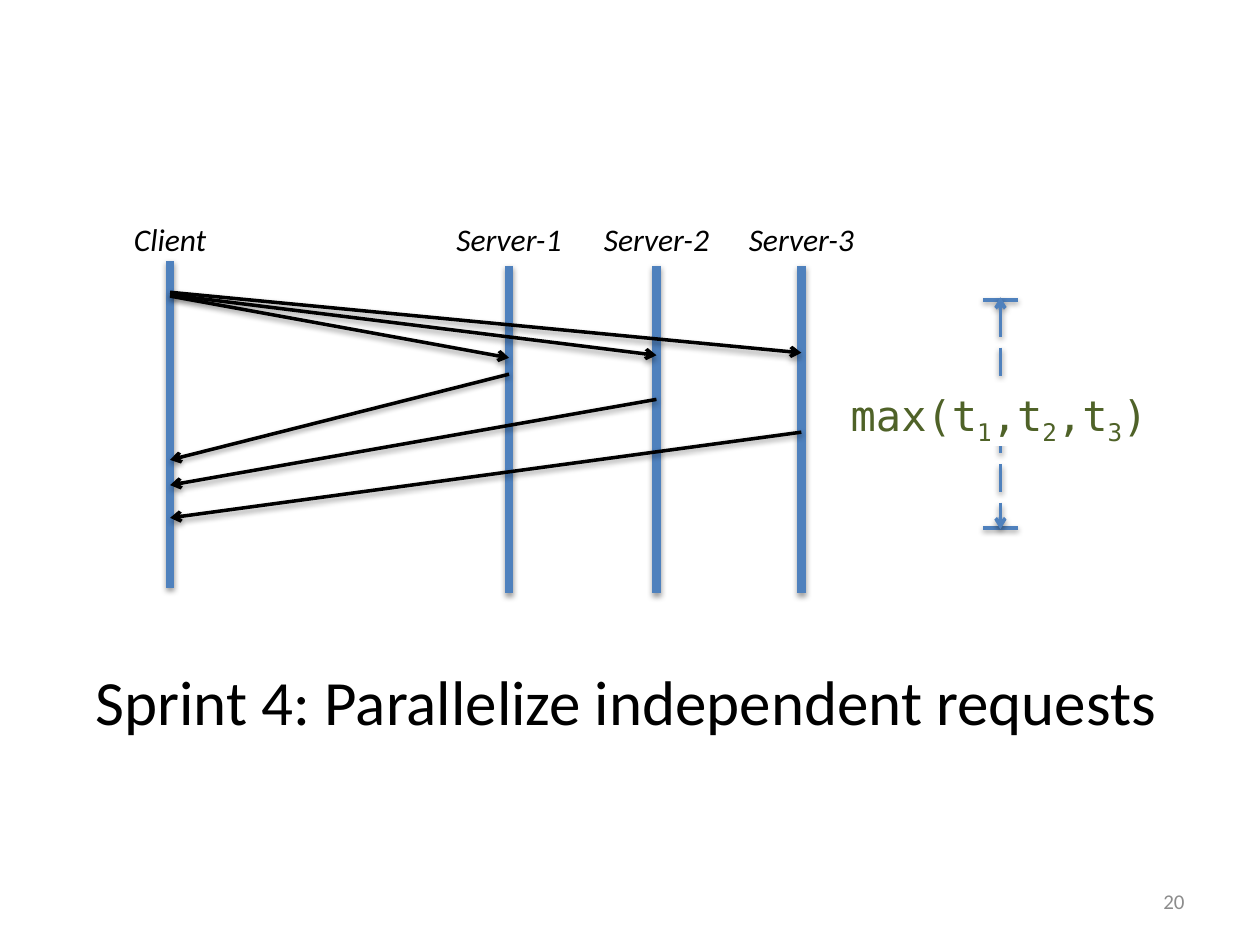
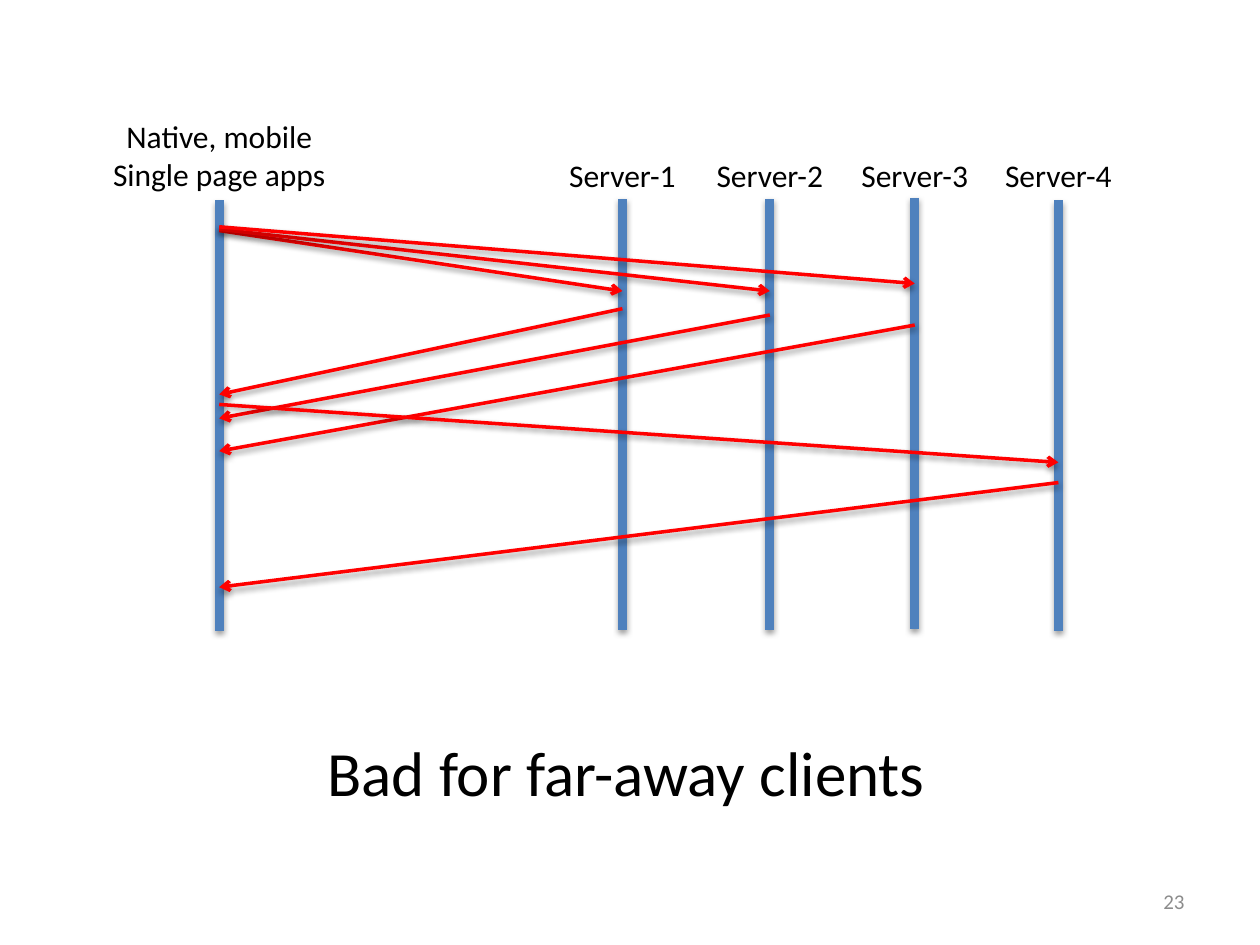
from dataclasses import dataclass

from lxml import etree
from pptx import Presentation
from pptx.dml.color import RGBColor
from pptx.enum.dml import MSO_LINE
from pptx.enum.shapes import MSO_CONNECTOR, MSO_SHAPE
from pptx.enum.text import MSO_ANCHOR, PP_ALIGN
from pptx.oxml.ns import qn
from pptx.util import Emu, Pt

STRAIGHT = MSO_CONNECTOR.STRAIGHT
RECTANGLE = MSO_SHAPE.RECTANGLE
LONG_DASH = MSO_LINE.LONG_DASH
TOP, MIDDLE = MSO_ANCHOR.TOP, MSO_ANCHOR.MIDDLE
CENTER, RIGHT = PP_ALIGN.CENTER, PP_ALIGN.RIGHT
TITLE_ONLY = 5
EMU_PER_PX = 9144


@dataclass(frozen=True)
class Theme:
    """Colours, fonts, type sizes and line widths of the slides."""
    blue: str = "4F81BD"
    black: str = "000000"
    red: str = "FF0000"
    green: str = "4F6228"
    gray: str = "8C8C8C"
    white: str = "FFFFFF"
    font: str = "Calibri"
    code_font: str = "DejaVu Sans Mono"
    title_size: int = 36
    code_size: int = 24
    label_size: int = 18
    number_size: int = 12
    lifeline_width: int = 5
    arrow_width: int = 2


THEME = Theme()


@dataclass(frozen=True)
class Lifeline:
    """A labelled vertical line, placed relative to its diagram."""
    name: str
    x: int
    top: int
    label_width: int = 111


def px(length):
    """Turn px, 100 to the inch, into EMU."""
    return Emu(int(length * EMU_PER_PX))


def write_text(shape, text, size=THEME.label_size, color=THEME.black, font=THEME.font,
               italic=False, align=CENTER, anchor=TOP, wrap=True):
    """Fill a shape with lines of text, where ~marked~ parts are subscripts."""
    frame = shape.text_frame
    frame.word_wrap = wrap
    frame.vertical_anchor = anchor
    for index, line in enumerate(text.split("\n")):
        paragraph = frame.add_paragraph() if index else frame.paragraphs[0]
        paragraph.alignment = align
        for part, words in enumerate(line.split("~")):
            run = paragraph.add_run()
            run.text = words
            run.font.name = font
            run.font.size = Pt(size)
            run.font.italic = italic
            run.font.color.rgb = RGBColor.from_string(color)
            if part % 2:
                run.font._element.set("baseline", "-25000")


def add_label(slide, box, text, **text_format):
    """Add a text box at left, top, width, height."""
    shape = slide.shapes.add_textbox(*map(px, box))
    write_text(shape, text, **text_format)


def add_shadow(connector):
    """Give a connector a soft shadow straight below it."""
    effects = etree.SubElement(connector._element.spPr, qn("a:effectLst"))
    shadow = etree.SubElement(effects, qn("a:outerShdw"), blurRad="40000", dist="20000",
                              dir="5400000", rotWithShape="0")
    color = etree.SubElement(shadow, qn("a:srgbClr"), val=THEME.black)
    etree.SubElement(color, qn("a:alpha"), val="38000")


def add_line(slide, start, end, color=THEME.blue, width=THEME.arrow_width,
             arrows=(), dash=None):
    """Draw a shadowed line with arrowheads at the named ends."""
    connector = slide.shapes.add_connector(STRAIGHT, *map(px, (*start, *end)))
    line = connector.line
    line.color.rgb = RGBColor.from_string(color)
    line.width = Pt(width)
    if dash:
        line.dash_style = dash
    for arrow in arrows:
        etree.SubElement(connector._element.spPr.ln, qn(f"a:{arrow}"), type="arrow")
    add_shadow(connector)


def sequence_diagram(slide, box, lifelines, messages, label_bottom, color, italic=False):
    """Draw lifelines down to the box's end, messages between them, and labels."""
    left, top, _, height = box
    length = height - max(lifeline.top for lifeline in lifelines)
    for lifeline in lifelines:
        x, y = left + lifeline.x, top + lifeline.top
        add_line(slide, (x, y), (x, y + length), width=THEME.lifeline_width)
    for sender, sent, receiver, received in messages:
        add_line(slide, (left + lifelines[sender].x, top + sent),
                 (left + lifelines[receiver].x, top + received),
                 color=color, arrows=("tailEnd",))
    for lifeline in lifelines:
        label_height = 40 + 31 * lifeline.name.count("\n")
        add_label(slide, (left + lifeline.x - lifeline.label_width / 2,
                          top + label_bottom - label_height,
                          lifeline.label_width, label_height),
                  lifeline.name, italic=italic, wrap=False)


def duration_bracket(slide, box, text):
    """Draw a dashed vertical span with end caps and a label across it."""
    left, top, width, height = box
    middle, cap = left + width // 2 + 1, 14
    for y in (top + 2, top + height - 1):
        add_line(slide, (middle - cap, y), (middle + cap, y))
    add_line(slide, (middle, top), (middle, top + height),
             arrows=("headEnd", "tailEnd"), dash=LONG_DASH)
    label = slide.shapes.add_shape(RECTANGLE, *map(px, (left, top + 68, width, 50)))
    label.shadow.inherit = False
    label.fill.solid()
    label.fill.fore_color.rgb = RGBColor.from_string(THEME.white)
    label.line.fill.background()
    write_text(label, text, size=THEME.code_size, color=THEME.green, font=THEME.code_font)


def titled_slide(presentation, title, title_top, number):
    """Add a slide with its title below the diagram and its page number."""
    slide = presentation.slides.add_slide(presentation.slide_layouts[TITLE_ONLY])
    heading = slide.shapes.title
    heading.left, heading.top, heading.width, heading.height = map(
        px, (47, title_top, 900, 125))
    write_text(heading, title, size=THEME.title_size, anchor=MIDDLE)
    add_label(slide, (717, 695, 233, 40), number, size=THEME.number_size,
              color=THEME.gray, align=RIGHT, anchor=MIDDLE)
    return slide


def parallel_requests_slide(presentation):
    """Show three independent requests sent in parallel."""
    slide = titled_slide(presentation, "Sprint 4: Parallelize independent requests",
                         493, "20")
    lifelines = [Lifeline("Client", 0, 37, 85), Lifeline("Server-1", 269, 41),
                 Lifeline("Server-2", 386, 41), Lifeline("Server-3", 501, 41)]
    messages = [(0, 65, 1, 114), (1, 127, 0, 195),
                (0, 64, 2, 112), (2, 147, 0, 215),
                (0, 62, 3, 110), (3, 173, 0, 241)]
    sequence_diagram(slide, (135, 170, 501, 301), lifelines, messages,
                     label_bottom=40, color=THEME.black, italic=True)
    duration_bracket(slide, (652, 236, 282, 184), "max(t~1~,t~2~,t~3~)")


def far_away_clients_slide(presentation):
    """Show a remote client's requests, the last one to a fourth server."""
    slide = titled_slide(presentation, "Bad for far-away clients", 550, "23")
    lifelines = [Lifeline("Native, mobile\nSingle page apps", 0, 71, 199),
                 Lifeline("Server-1", 320, 70), Lifeline("Server-2", 437, 70),
                 Lifeline("Server-3", 552, 69), Lifeline("Server-4", 666, 71)]
    messages = [(0, 95, 1, 143), (1, 157, 0, 225),
                (0, 94, 2, 143), (2, 162, 0, 244),
                (0, 92, 3, 137), (3, 170, 0, 270),
                (0, 233, 4, 279), (4, 295, 0, 378)]
    sequence_diagram(slide, (174, 88, 666, 413), lifelines, messages,
                     label_bottom=71, color=THEME.red)


def main():
    """Build both slides and save them."""
    presentation = Presentation()
    presentation.slide_width, presentation.slide_height = px(1000), px(750)
    parallel_requests_slide(presentation)
    far_away_clients_slide(presentation)
    presentation.save("out.pptx")


if __name__ == "__main__":
    main()
